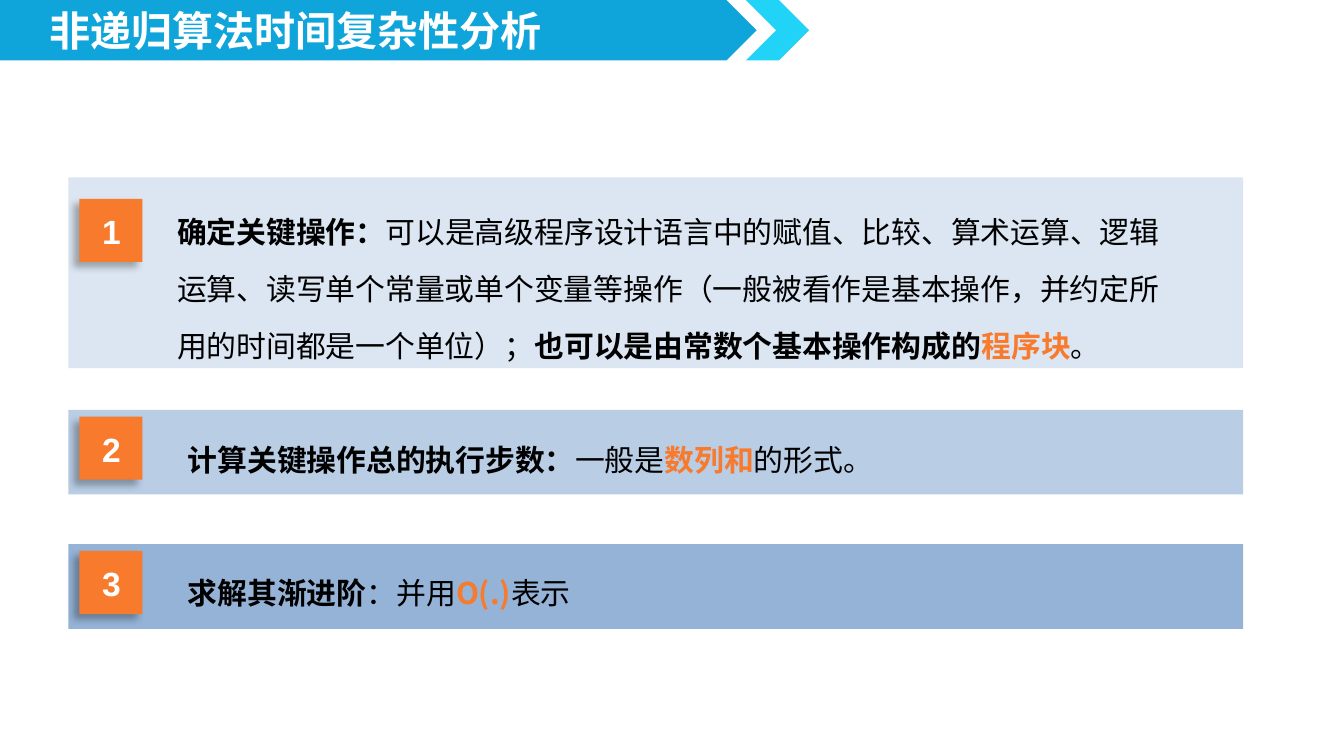
from lxml import etree
from pptx import Presentation
from pptx.dml.color import RGBColor
from pptx.enum.shapes import MSO_SHAPE as SHAPE
from pptx.enum.text import MSO_ANCHOR as ANCHOR, MSO_AUTO_SIZE as AUTO_SIZE, PP_ALIGN as ALIGN
from pptx.oxml import parse_xml
from pptx.oxml.ns import nsdecls, qn
from pptx.util import Inches, Pt

CJK = "Noto Sans CJK SC"
ORANGE, BLACK, WHITE = "F77A2D", "000000", "FFFFFF"
SHADOW = (
    f'<a:effectLst {nsdecls("a")}><a:outerShdw blurRad="50800" dist="50800" '
    'dir="8100000" algn="tr" rotWithShape="0"><a:srgbClr val="000000">'
    '<a:alpha val="29000"/></a:srgbClr></a:outerShdw></a:effectLst>'
)


def add_block(preset, left, top, width, height, color):
    block = slide.shapes.add_shape(
        preset, Inches(left), Inches(top), Inches(width), Inches(height))
    block.shadow.inherit = False
    block.fill.solid()
    block.fill.fore_color.rgb = RGBColor.from_string(color)
    block.line.fill.background()
    return block


def write(frame, runs, size, font_name, spacing=1.0, align=ALIGN.LEFT, wrap=True):
    """Fill a text frame with one paragraph of (text, colour, bold) runs."""
    frame_format = {"word_wrap": wrap, "auto_size": AUTO_SIZE.NONE,
                    "vertical_anchor": ANCHOR.TOP,
                    "margin_left": Inches(0.1), "margin_right": Inches(0.1),
                    "margin_top": Inches(0.05), "margin_bottom": Inches(0.05)}
    for key, value in frame_format.items():
        setattr(frame, key, value)
    paragraph = frame.paragraphs[0]
    paragraph.alignment = align
    paragraph.line_spacing = spacing
    paragraph.space_before = Pt(0)
    for text, color, bold in runs:
        run = paragraph.add_run()
        run.text = text
        font_format = {"size": Pt(size), "name": font_name, "bold": bold}
        for key, value in font_format.items():
            setattr(run.font, key, value)
        run.font.color.rgb = RGBColor.from_string(color)
        east_asian = etree.SubElement(run.font._element, qn("a:ea"))
        east_asian.set("typeface", font_name)


prs = Presentation()
prs.slide_width = Inches(10)
prs.slide_height = prs.slide_width * 9 // 16
slide = prs.slides.add_slide(prs.slide_layouts[5])

# Title banner; the title itself is lifted in front of it
banner = add_block(SHAPE.PENTAGON, 0, 0, 5.63, 0.45, "10A5DA")
chevron = add_block(SHAPE.CHEVRON, 5.55, 0, 0.47, 0.45, "21D3F7")
title = slide.shapes.title
title.left, title.top = Inches(0.27), Inches(0.06)
title.width, title.height = Inches(3.9), Inches(0.4)
write(title.text_frame, [("非递归算法时间复杂性分析", WHITE, True)],
      22, CJK, spacing=0.8, wrap=False)
chevron._element.addnext(title._element)

# Steps: band top, band height, band colour, badge top, text left, top and height, runs
steps = [
    (1.32, 1.42, "DCE6F2", 1.48, 1.22, 1.38, 1.22, [
        ("确定关键操作：", BLACK, True),
        ("可以是高级程序设计语言中的赋值、比较、算术运算、逻辑运算、读写单个常量或单个变量等操作"
         "（一般被看作是基本操作，并约定所用的时间都是一个单位）；", BLACK, False),
        ("也可以是由常数个基本操作构成的", BLACK, True),
        ("程序块", ORANGE, True),
        ("。", BLACK, False)]),
    (3.05, 0.63, "B9CDE5", 3.1, 1.3, 3.08, 0.48, [
        ("计算关键操作总的执行步数：", BLACK, True),
        ("一般是", BLACK, False),
        ("数列和", ORANGE, True),
        ("的形式。", BLACK, False)]),
    (4.05, 0.63, "95B3D7", 4.1, 1.3, 4.07, 0.48, [
        ("求解其渐进阶", BLACK, True),
        ("：并用", BLACK, False),
        ("O(.)", ORANGE, True),
        ("表示", BLACK, False)]),
]
for number, step in enumerate(steps, start=1):
    band_top, band_height, band_color, badge_top, text_left, text_top, text_height, runs = step
    add_block(SHAPE.RECTANGLE, 0.51, band_top, 8.74, band_height, band_color)

    badge = add_block(SHAPE.RECTANGLE, 0.59, badge_top, 0.47, 0.47, ORANGE)
    properties = badge._element.spPr
    properties.replace(properties.find(qn("a:effectLst")), parse_xml(SHADOW))
    label = slide.shapes.add_textbox(
        Inches(0.66), Inches(badge_top + 0.04), Inches(0.34), Inches(0.4))
    write(label.text_frame, [(str(number), WHITE, True)], 18, "Arial",
          align=ALIGN.CENTER, wrap=False)

    description = slide.shapes.add_textbox(
        Inches(text_left), Inches(text_top), Inches(7.72), Inches(text_height))
    write(description.text_frame, runs, 16, CJK, spacing=1.6)

prs.save("out.pptx")
